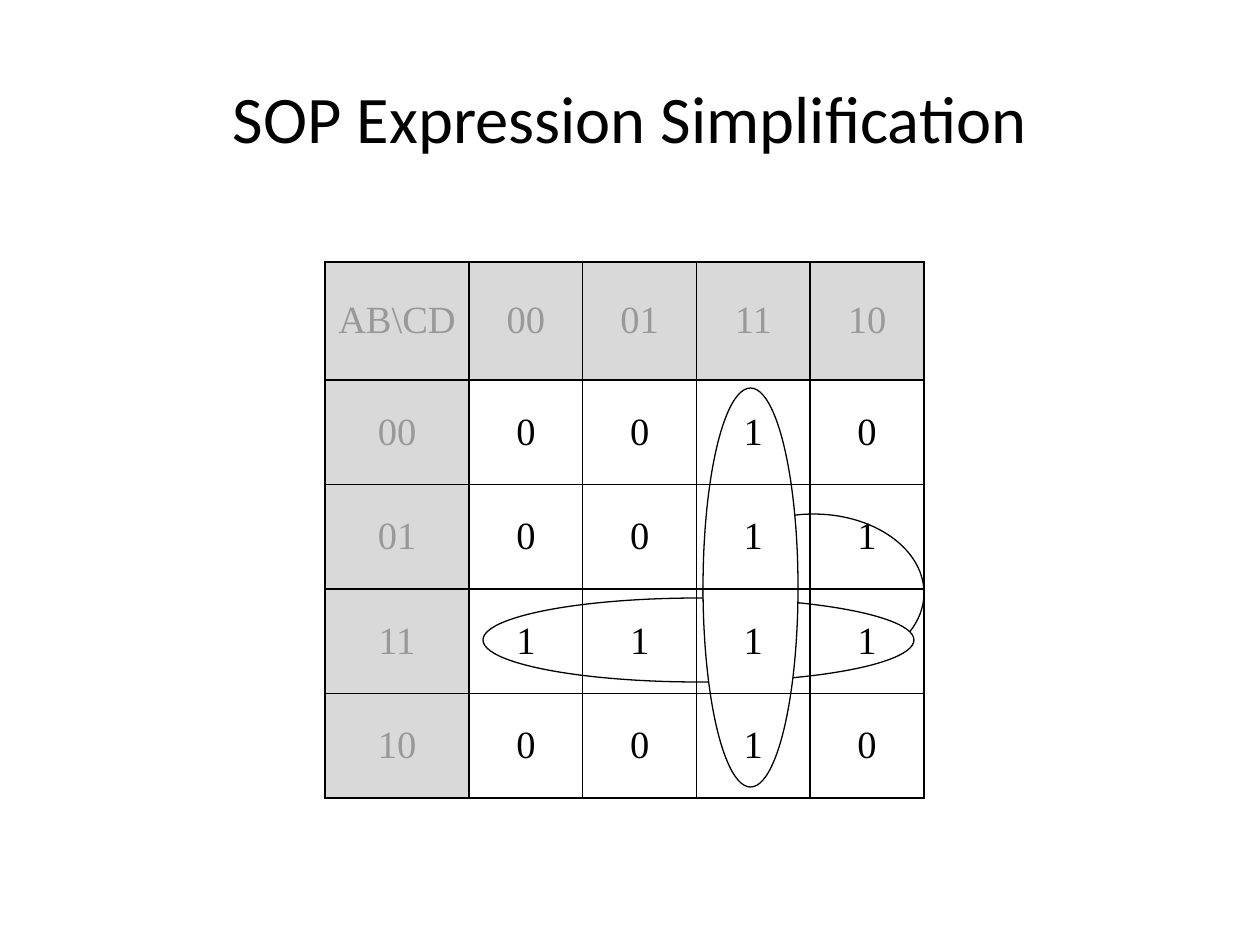
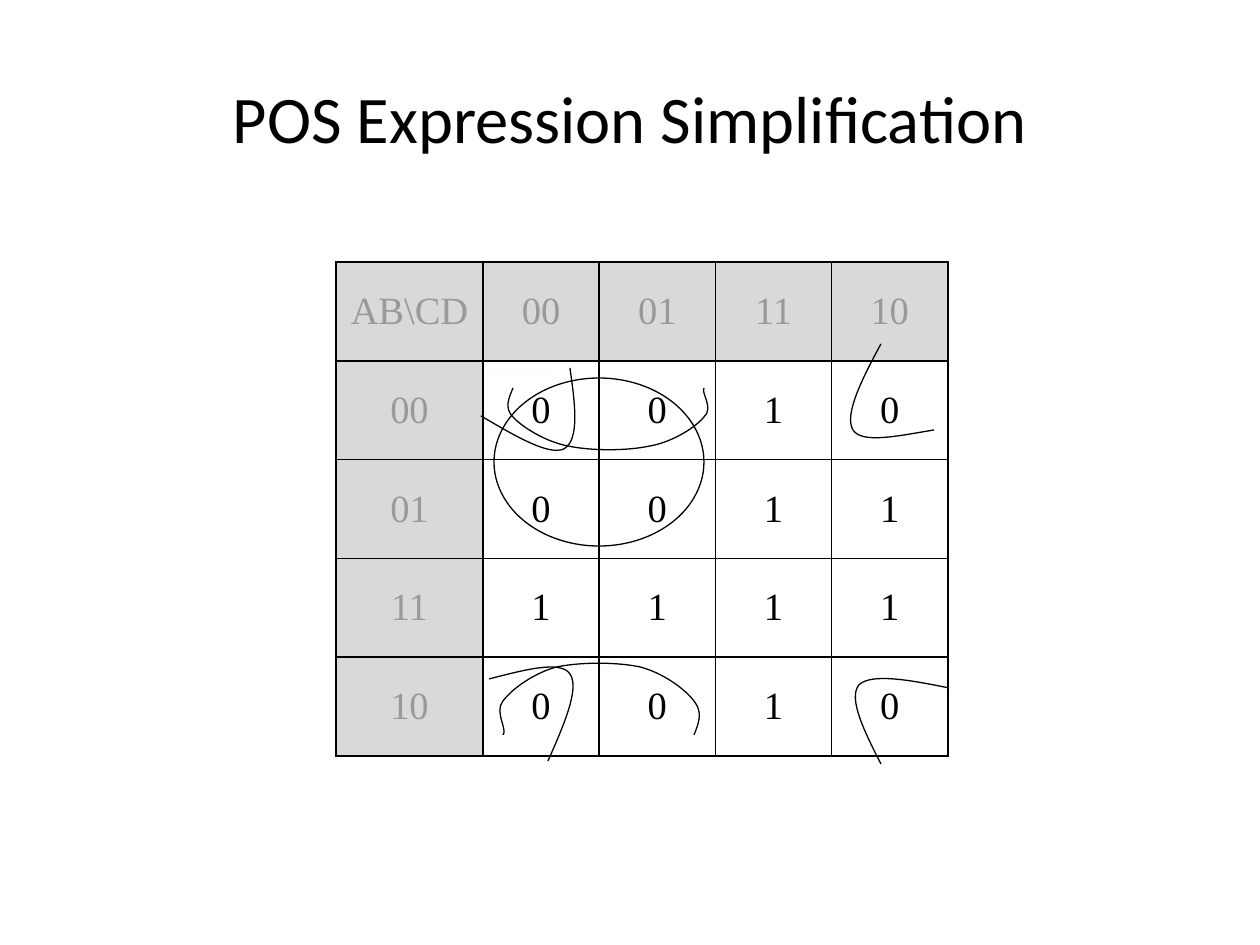
import pptx
import pptx.dml.color
import pptx.enum.shapes
import pptx.enum.text
import pptx.oxml
import pptx.oxml.ns
import pptx.util

PX = 914400 / 126
COLORS = {"ink": "000000", "muted": "999999", "shade": "D9D9D9", "paper": "FFFFFF"}
GRAY_CODES = ["00", "01", "11", "10"]
TITLE_BOX = (63, 38, 1134, 157)
BORDER_TAGS = ["lnL", "lnR", "lnT", "lnB"]

TRUTH_ROWS = ["0010", "0011", "1111", "0010"]
SOP_GROUPS = [(703, 514, 221, 158), (483, 598, 431, 84), (703, 388, 95, 399)]
POS_GROUP = (494, 378, 210, 168)

# Each curve is a start point followed by three points per Bezier segment.
EDGE_ARCS = [
    [(513, 388), (509, 398), (504, 408), (513, 417),
     (522, 427), (546, 442), (568, 446), (591, 451), (627, 451), (650, 446),
     (673, 442), (696, 427), (704, 417), (714, 408), (701, 393), (704, 388)],
    [(694, 735), (699, 723), (703, 712), (694, 701),
     (685, 689), (663, 673), (640, 667), (616, 662), (581, 662), (557, 667),
     (534, 673), (512, 689), (503, 701), (494, 712), (508, 730), (503, 735)],
]
CORNER_ARCS = [
    [(570, 368), (575, 403), (580, 440), (564, 449), (549, 456), (515, 436), (481, 416)],
    [(489, 679), (524, 670), (561, 660), (570, 674), (580, 688), (564, 725), (548, 761)],
    [(881, 764), (864, 731), (848, 698), (859, 685), (871, 673), (910, 680), (949, 688)],
    [(934, 430), (898, 436), (862, 444), (853, 430), (844, 415), (862, 379), (881, 344)],
]


def emu(px):
    return pptx.util.Emu(round(px * PX))


def rgb(name):
    return pptx.dml.color.RGBColor.from_string(COLORS[name])


def write(paragraph, text, font_name, size, color):
    paragraph.alignment = pptx.enum.text.PP_ALIGN.CENTER
    run = paragraph.add_run()
    run.text = text
    run.font.name = font_name
    run.font.size = pptx.util.Pt(size)
    run.font.color.rgb = rgb(color)


def add_titled_slide(presentation, text):
    slide = presentation.slides.add_slide(presentation.slide_layouts[5])
    title = slide.shapes.title
    title.left, title.top, title.width, title.height = map(emu, TITLE_BOX)
    title.text_frame.vertical_anchor = pptx.enum.text.MSO_ANCHOR.MIDDLE
    write(title.text_frame.paragraphs[0], text, "Calibri", 38, "ink")
    return slide


def outline(shape):
    shape.shadow.inherit = False
    shape.line.color.rgb = rgb("ink")
    shape.line.width = pptx.util.Pt(0.75)


def add_ellipse(slide, box):
    shape = slide.shapes.add_shape(pptx.enum.shapes.MSO_SHAPE.OVAL, *map(emu, box))
    shape.fill.solid()
    shape.fill.fore_color.rgb = rgb("paper")
    outline(shape)


def add_hairline(slide, left, top, width):
    shape = slide.shapes.add_shape(
        pptx.enum.shapes.MSO_SHAPE.RECTANGLE, emu(left), emu(top), emu(width), 0)
    shape.shadow.inherit = False
    shape.fill.solid()
    shape.fill.fore_color.rgb = rgb("shade")
    shape.line.fill.background()


def add_curve(slide, points):
    """Draw an open Bezier curve by merging every three line segments into one."""
    builder = slide.shapes.build_freeform(*points[0], scale=PX)
    builder.add_line_segments(points[1:], close=False)
    shape = builder.convert_to_shape()
    shape.fill.background()
    outline(shape)
    qn = pptx.oxml.ns.qn
    segments = list(shape._element.iter(qn("a:lnTo")))
    for start in range(0, len(segments), 3):
        first, *others = segments[start:start + 3]
        first.tag = qn("a:cubicBezTo")
        for segment in others:
            first.append(segment[0])
            segment.getparent().remove(segment)


def add_borders(cell):
    properties = cell._tc.get_or_add_tcPr()
    for tag in BORDER_TAGS:
        properties.append(pptx.oxml.parse_xml(
            f'<a:{tag} {pptx.oxml.ns.nsdecls("a")} w="12700"><a:solidFill>'
            f'<a:srgbClr val="{COLORS["ink"]}"/></a:solidFill></a:{tag}>'))


def add_karnaugh_map(slide, left, top, header_size, body_size):
    """Sizes are (width, height); the body is split into equal cells."""
    labels = [["AB\\CD", *GRAY_CODES]]
    labels += [[code, *bits] for code, bits in zip(GRAY_CODES, TRUTH_ROWS)]
    count = len(labels)
    width, height = (emu(h + b) for h, b in zip(header_size, body_size))
    table = slide.shapes.add_table(count, count, emu(left), emu(top), width, height).table
    table.first_row = table.horz_banding = False
    for index in range(count):
        column_width, row_height = (
            b / (count - 1) if index else h for h, b in zip(header_size, body_size))
        table.columns[index].width = emu(column_width)
        table.rows[index].height = emu(row_height)
    for row, texts in enumerate(labels):
        for column, text in enumerate(texts):
            cell = table.cell(row, column)
            is_header = row == 0 or column == 0
            add_borders(cell)
            if is_header:
                cell.fill.solid()
                cell.fill.fore_color.rgb = rgb("shade")
            else:
                cell.fill.background()
            cell.vertical_anchor = pptx.enum.text.MSO_ANCHOR.MIDDLE
            write(cell.text_frame.paragraphs[0], text, "Times New Roman", 22,
                  "muted" if is_header else "ink")


def build_sop_slide(presentation):
    slide = add_titled_slide(presentation, "SOP Expression Simplification")
    for group in SOP_GROUPS:
        add_ellipse(slide, group)
    add_karnaugh_map(slide, 325, 262, (144, 118), (455, 418))


def build_pos_slide(presentation):
    slide = add_titled_slide(presentation, "POS Expression Simplification")
    add_ellipse(slide, POS_GROUP)
    for arc in EDGE_ARCS:
        add_curve(slide, arc)
    add_hairline(slide, 490, 372, 67)
    add_karnaugh_map(slide, 336, 262, (147, 99), (465, 395))
    for arc in CORNER_ARCS:
        add_curve(slide, arc)


def main():
    presentation = pptx.Presentation()
    presentation.slide_width = emu(1260)
    presentation.slide_height = emu(945)
    build_sop_slide(presentation)
    build_pos_slide(presentation)
    presentation.save("out.pptx")


if __name__ == "__main__":
    main()
